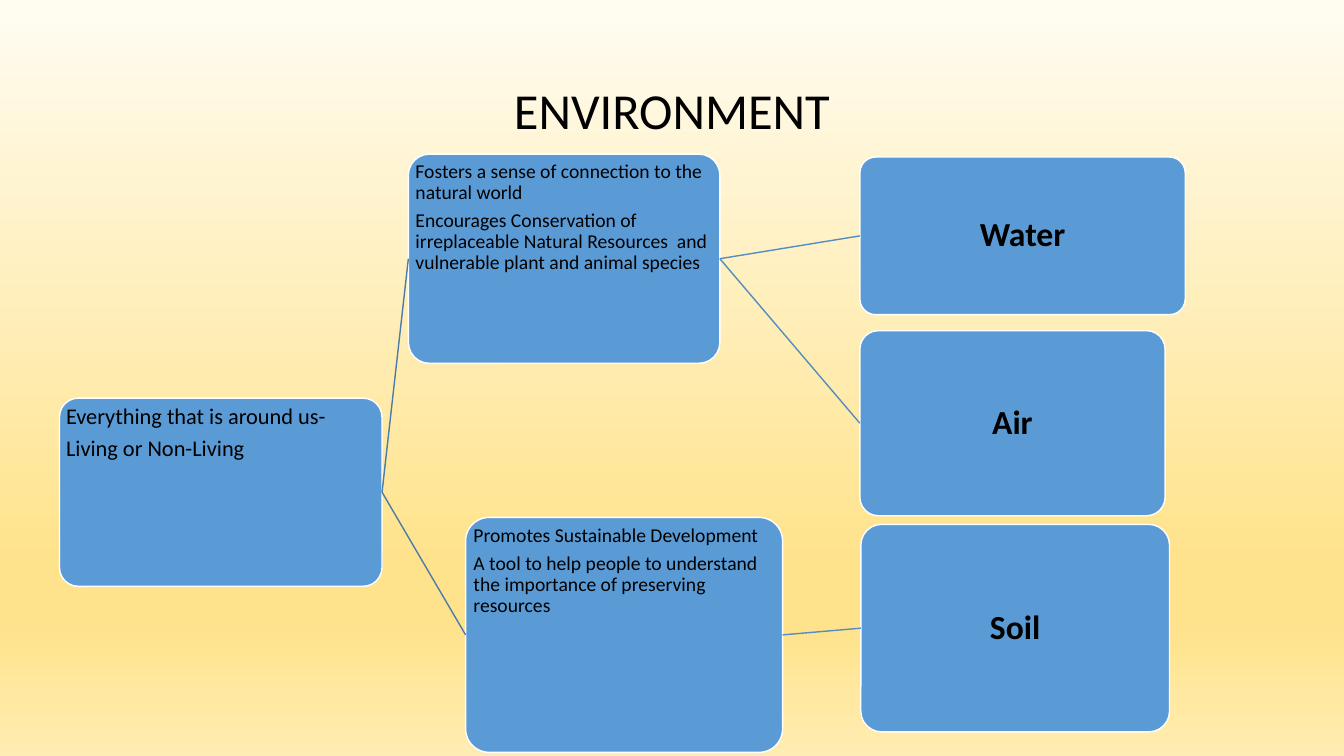
from lxml import etree
from pptx import Presentation
from pptx.dml.color import RGBColor
from pptx.enum.shapes import MSO_CONNECTOR as CONN, MSO_SHAPE as SHAPE
from pptx.enum.text import MSO_ANCHOR as ANCHOR, PP_ALIGN as ALIGN
from pptx.oxml.ns import qn
from pptx.util import Pt

BLACK = RGBColor(0x00, 0x00, 0x00)
WHITE = RGBColor(0xFF, 0xFF, 0xFF)
BLUE = RGBColor(0x5B, 0x9B, 0xD5)
BRANCH = RGBColor(0x49, 0x7C, 0xAB)
LEAF = RGBColor(0x53, 0x8D, 0xC1)
SKY = [(0, RGBColor(0xFF, 0xFC, 0xF2)), (74, RGBColor(0xFF, 0xE3, 0x8C)),
       (83, RGBColor(0xFF, 0xE3, 0x8C)), (100, RGBColor(0xFF, 0xEC, 0xB2))]
FONT = "Calibri"
LINE_SPACING = 0.9

TITLE = "ENVIRONMENT"
NOTES = {
    "meaning": ((42.5, 284.4, 230.4, 134.4), 16,
                ["Everything that is around us-", "Living or Non-Living"]),
    "connection": ((291.7, 110.1, 222.5, 149.4), 14,
                   ["Fosters a sense of connection to the natural world",
                    "Encourages Conservation of irreplaceable Natural Resources  and "
                    "vulnerable plant and animal species"]),
    "development": ((332.6, 369.6, 226.4, 167.8), 14,
                    ["Promotes Sustainable Development",
                     "A tool to help people to understand the importance of "
                     "preserving resources"]),
}
RESOURCES = {
    "water": ((614.2, 112.2, 232.4, 112.6), 24, ["Water"]),
    "air": ((614.2, 236.2, 218, 132.2), 24, ["Air"]),
    "soil": ((614.9, 374.6, 220.5, 148.2), 24, ["Soil"]),
}
LINKS = [("meaning", "connection", BRANCH), ("meaning", "development", BRANCH),
         ("connection", "water", LEAF), ("connection", "air", LEAF),
         ("development", "soil", LEAF)]


def paint_background(slide):
    fill = slide.background.fill
    fill.gradient()
    fill.gradient_angle = 270
    stops = slide.background._cSld.find(".//" + qn("a:gsLst"))
    for stop in list(stops):
        stops.remove(stop)
    for percent, color in SKY:
        stop = etree.SubElement(stops, qn("a:gs"), pos=str(percent * 1000))
        etree.SubElement(stop, qn("a:srgbClr"), val=str(color))


def write(tf, lines, size, align, anchor, bold=False, after=0):
    tf.word_wrap = True
    tf.vertical_anchor = anchor
    for i, line in enumerate(lines):
        p = tf.paragraphs[0] if i == 0 else tf.add_paragraph()
        p.text = line
        p.alignment = align
        p.line_spacing = LINE_SPACING
        p.space_after = Pt(after)
        p.font.name = FONT
        p.font.size = Pt(size)
        p.font.bold = bold
        p.font.color.rgb = BLACK


def add_box(slide, place, size, lines, is_resource):
    sp = slide.shapes.add_shape(SHAPE.ROUNDED_RECTANGLE, *map(Pt, place))
    sp.shadow.inherit = False
    sp.adjustments[0] = 0.1
    sp.fill.solid()
    sp.fill.fore_color.rgb = BLUE
    sp.line.color.rgb = WHITE
    sp.line.width = Pt(1)
    tf = sp.text_frame
    inset = Pt(size / 20)
    tf.margin_left = tf.margin_right = tf.margin_top = tf.margin_bottom = inset
    align, anchor = ((ALIGN.CENTER, ANCHOR.MIDDLE) if is_resource
                     else (ALIGN.LEFT, ANCHOR.TOP))
    write(tf, lines, size, align, anchor, is_resource, size * 0.35)
    return sp


def link(slide, start, end, color):
    line = slide.shapes.add_connector(CONN.STRAIGHT, 0, 0, 0, 0)
    line.begin_connect(start, 3)
    line.end_connect(end, 1)
    line.line.color.rgb = color
    line.line.width = Pt(1)
    etree.SubElement(line._element.spPr, qn("a:effectLst"))


def main():
    prs = Presentation()
    prs.slide_width, prs.slide_height = Pt(960), Pt(540)
    slide = prs.slides.add_slide(prs.slide_layouts[6])
    paint_background(slide)
    title = slide.shapes.add_textbox(Pt(66), Pt(28.8), Pt(828), Pt(104.4))
    write(title.text_frame, [TITLE], 36, ALIGN.CENTER, ANCHOR.MIDDLE)
    boxes = {name: add_box(slide, *box, name in RESOURCES)
             for name, box in (NOTES | RESOURCES).items()}
    for start, end, color in LINKS:
        link(slide, boxes[start], boxes[end], color)
    prs.save("out.pptx")


if __name__ == "__main__":
    main()
